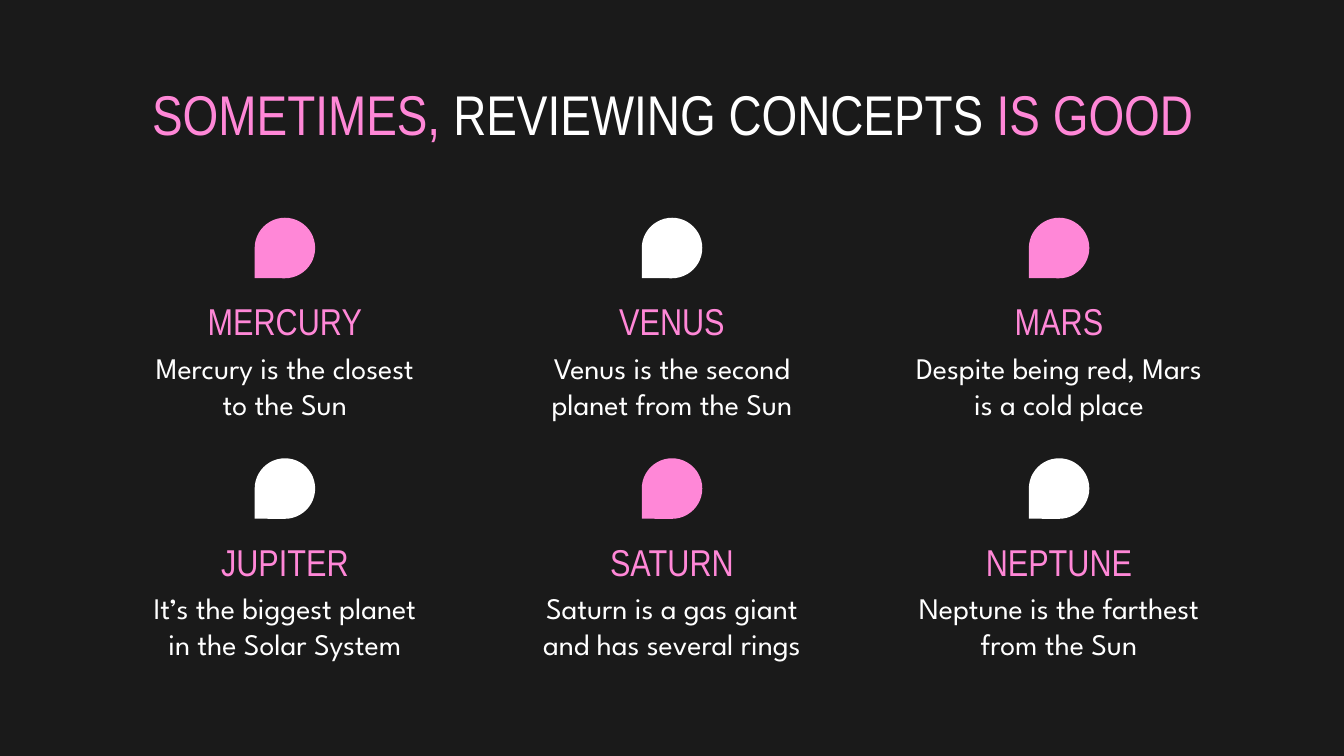
from pptx import Presentation
from pptx.dml.color import RGBColor
from pptx.enum.shapes import MSO_SHAPE
from pptx.enum.text import MSO_ANCHOR, MSO_AUTO_SIZE, PP_ALIGN
from pptx.util import Inches, Pt

DARK = RGBColor(0x1A, 0x1A, 0x1A)
PINK = RGBColor(0xFF, 0x87, 0xD7)
WHITE = RGBColor(0xFF, 0xFF, 0xFF)
HEAD = "Arial Narrow"
BODY = "League Spartan"

# Grid: first column and row, and the step between them
LEFT, STEP_X = 0.95, 2.88
TOP, STEP_Y = 1.62, 1.79
WIDTH, DROP = 2.34, 0.45

PLANETS = [
    ("MERCURY", "Mercury is the closest to the Sun"),
    ("VENUS", "Venus is the second planet from the Sun"),
    ("MARS", "Despite being red, Mars is a cold place"),
    ("JUPITER", "It’s the biggest planet in the Solar System"),
    ("SATURN", "Saturn is a gas giant and has several rings"),
    ("NEPTUNE", "Neptune is the farthest from the Sun"),
]


def set_text(shape, runs, *, size, font, anchor=MSO_ANCHOR.TOP, after=0):
    """Fill a shape with one centred paragraph of (text, colour) runs."""
    frame = shape.text_frame
    frame.word_wrap = True
    frame.auto_size = MSO_AUTO_SIZE.NONE
    frame.vertical_anchor = anchor
    frame.margin_left = frame.margin_right = Inches(0.1)
    frame.margin_top = frame.margin_bottom = Inches(0.1)
    para = frame.paragraphs[0]
    para.alignment = PP_ALIGN.CENTER
    para.space_after = Pt(after)
    for text, color in runs:
        run = para.add_run()
        run.text = text
        run.font.size = Pt(size)
        run.font.name = font
        run.font.color.rgb = color


def add_title(slide):
    title = slide.shapes.title
    title.left, title.top = Inches(0.79), Inches(0.49)
    title.width, title.height = Inches(8.43), Inches(0.63)
    runs = [("SOMETIMES, ", PINK), ("REVIEWING CONCEPTS", WHITE), (" IS GOOD", PINK)]
    set_text(title, runs, size=30, font=HEAD)


def add_box(slide, x, y, height, text, color, **style):
    box = slide.shapes.add_textbox(Inches(x), Inches(y), Inches(WIDTH), Inches(height))
    set_text(box, [(text, color)], **style)


def add_drop(slide, x, y, color):
    drop = slide.shapes.add_shape(
        MSO_SHAPE.TEAR, Inches(x), Inches(y), Inches(DROP), Inches(DROP))
    drop.rotation = 180
    drop.shadow.inherit = False
    drop.fill.solid()
    drop.fill.fore_color.rgb = color
    drop.line.fill.background()


def add_planet(slide, x, y, name, fact, color):
    add_drop(slide, x + (WIDTH - DROP) / 2, y, color)
    add_box(slide, x, y + 0.56, 0.41, name, PINK,
            size=20, font=HEAD, anchor=MSO_ANCHOR.MIDDLE)
    add_box(slide, x, y + 0.88, 0.67, fact, WHITE, size=16, font=BODY, after=16)


def main():
    deck = Presentation()
    # Widescreen, 16:9
    deck.slide_width = Inches(10)
    deck.slide_height = Inches(10 * 9 / 16)
    slide = deck.slides.add_slide(deck.slide_layouts[5])
    slide.background.fill.solid()
    slide.background.fill.fore_color.rgb = DARK

    add_title(slide)

    # Planets in two rows of three, with alternating drop colours
    for i, (name, fact) in enumerate(PLANETS):
        row, col = divmod(i, 3)
        color = WHITE if i % 2 else PINK
        add_planet(slide, LEFT + col * STEP_X, TOP + row * STEP_Y, name, fact, color)

    deck.save("out.pptx")


if __name__ == "__main__":
    main()
